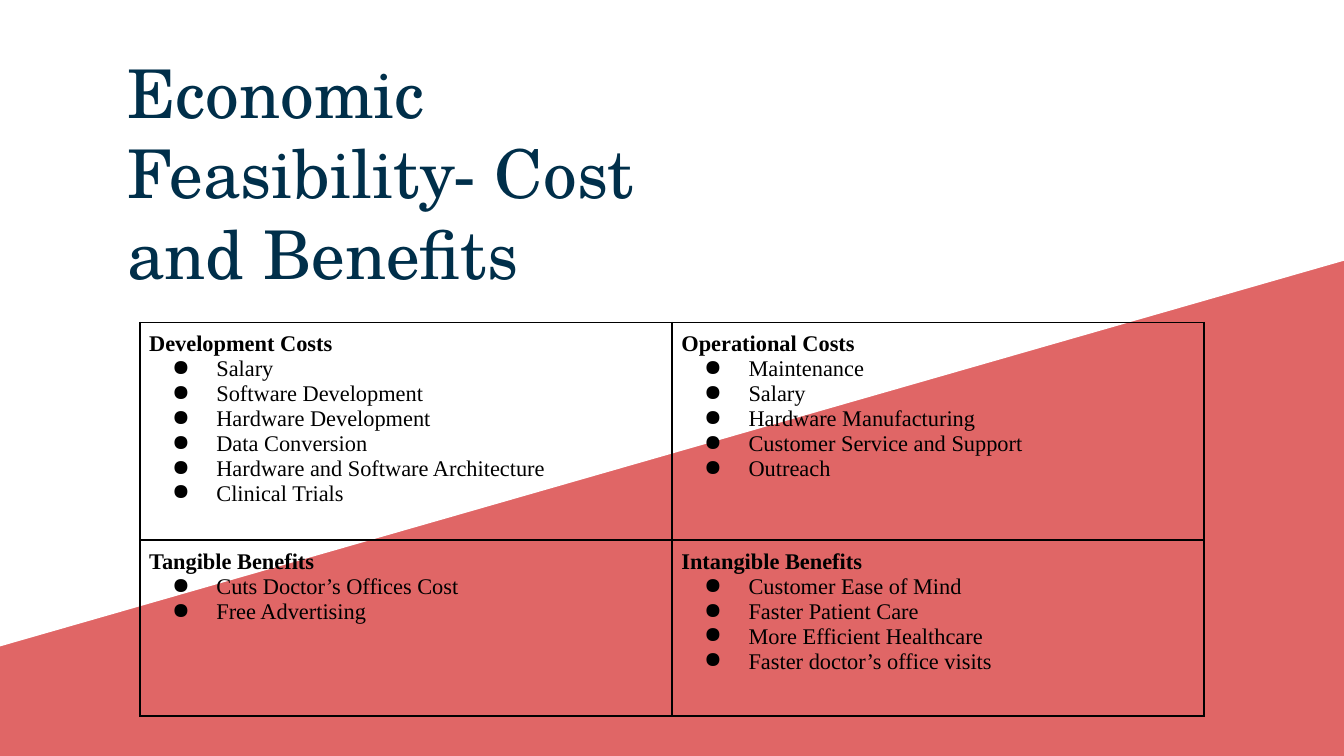
from lxml import etree
from pptx import Presentation
from pptx.dml.color import RGBColor
from pptx.enum import text
from pptx.oxml import ns
from pptx.util import Inches, Pt

CORAL = RGBColor(0xE0, 0x66, 0x66)
WHITE = RGBColor(0xFF, 0xFF, 0xFF)
NAVY = RGBColor(0x00, 0x2F, 0x4A)
BLACK = RGBColor(0, 0, 0)

CELLS = [
    [("Development Costs",
      ["Salary", "Software Development", "Hardware Development", "Data Conversion",
       "Hardware and Software Architecture", "Clinical Trials"]),
     ("Operational Costs",
      ["Maintenance", "Salary", "Hardware Manufacturing",
       "Customer Service and Support", "Outreach"])],
    [("Tangible Benefits",
      ["Cuts Doctor’s Offices Cost", "Free Advertising"]),
     ("Intangible Benefits",
      ["Customer Ease of Mind", "Faster Patient Care", "More Efficient Healthcare",
       "Faster doctor’s office visits"])],
]


def add_bullet(para):
    props = para._p.get_or_add_pPr()
    props.set("marL", str(Inches(0.5)))
    props.set("indent", str(Inches(-0.33)))
    color = etree.SubElement(props, ns.qn("a:buClr"))
    etree.SubElement(color, ns.qn("a:srgbClr"), val=str(BLACK))
    etree.SubElement(props, ns.qn("a:buChar"), char="●")


def add_borders(cell):
    """Draw a thin black line on all four sides."""
    props = cell._tc.get_or_add_tcPr()
    for i, side in enumerate(["lnL", "lnR", "lnT", "lnB"]):
        line = etree.Element(ns.qn("a:" + side), w=str(Pt(1)))
        fill = etree.SubElement(line, ns.qn("a:solidFill"))
        etree.SubElement(fill, ns.qn("a:srgbClr"), val=str(BLACK))
        props.insert(i, line)


prs = Presentation()
prs.slide_width, prs.slide_height = Inches(10), Inches(5.625)
slide = prs.slides.add_slide(prs.slide_layouts[6])
slide.background.fill.solid()
slide.background.fill.fore_color.rgb = CORAL

# White area above the slanted edge
pen = slide.shapes.build_freeform(0, 0, scale=1.0)
pen.add_line_segments([(Inches(x), Inches(y)) for x, y in [(10, 0), (10, 1.94), (0, 4.81)]])
wedge = pen.convert_to_shape()
wedge.shadow.inherit = False
wedge.fill.solid()
wedge.fill.fore_color.rgb = WHITE
wedge.line.fill.background()

# Title
box = slide.shapes.add_textbox(Inches(0.85), Inches(0.23), Inches(4.65), Inches(2.05))
frame = box.text_frame
frame.word_wrap = True
frame.vertical_anchor = text.MSO_ANCHOR.BOTTOM
frame.margin_left = frame.margin_right = Inches(0.1)
frame.margin_top = frame.margin_bottom = Inches(0.1)
title = frame.paragraphs[0]
title.text = "Economic Feasibility- Cost and Benefits"
title.font.name = "TeX Gyre Schola"
title.font.size = Pt(36)
title.font.color.rgb = NAVY

# Costs above, benefits below
table = slide.shapes.add_table(2, 2, Inches(1.04), Inches(2.4), Inches(7.92), Inches(2.93)).table
table.first_row = table.horz_banding = False
table.rows[0].height, table.rows[1].height = Inches(1.62), Inches(1.31)

for r, row in enumerate(CELLS):
    for c, (head, items) in enumerate(row):
        cell = table.cell(r, c)
        cell.fill.background()
        add_borders(cell)
        cell.margin_left = cell.margin_right = Inches(0.07)
        cell.margin_top = cell.margin_bottom = Inches(0.07)
        cell.text = "\n".join([head] + items)
        for i, para in enumerate(cell.text_frame.paragraphs):
            para.font.name = "Times New Roman"
            para.font.size = Pt(12)
            para.font.color.rgb = BLACK
            para.font.bold = i == 0
            if i > 0:
                add_bullet(para)

prs.save("out.pptx")
